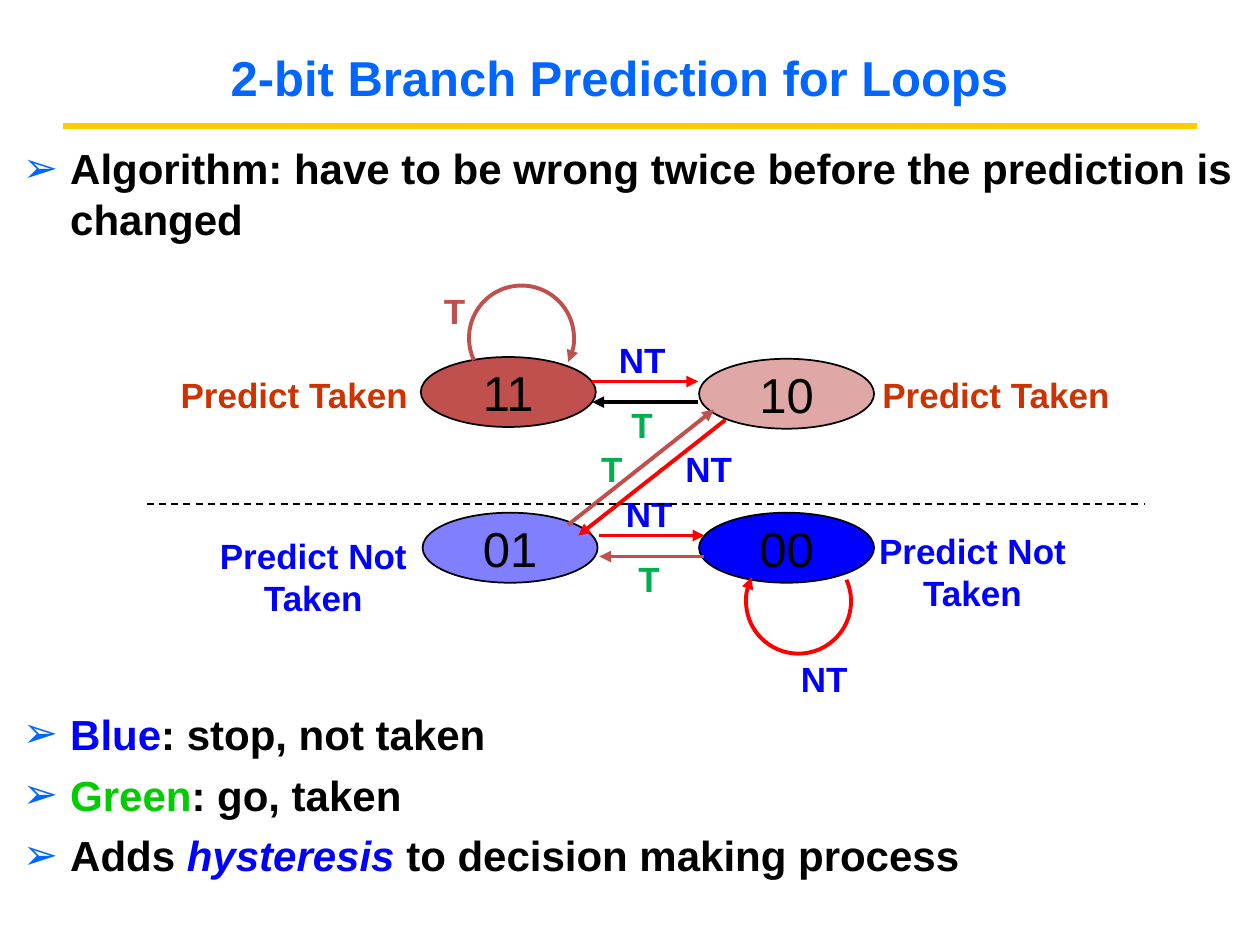
from lxml.etree import SubElement
from pptx import Presentation
from pptx.dml.color import RGBColor
from pptx.enum.dml import MSO_LINE
from pptx.enum.shapes import MSO_CONNECTOR as Conn, MSO_SHAPE as Kind
from pptx.enum.text import MSO_ANCHOR as Anchor, PP_ALIGN as Align
from pptx.oxml.ns import qn
from pptx.util import Pt

BLACK, BLUE, RED, BRICK = "000000", "0000FF", "FF0000", "C0504D"
GREEN, RUST, SKY, GOLD = "00B050", "CC3300", "0066FF", "FFCC00"

TITLE = "2-bit Branch Prediction for Loops"
# Each bullet: space before, then runs of (text, colour, italic)
BULLETS = [
    (0, [("Algorithm: have to be wrong twice before the prediction is changed", BLACK, False)]),
    (265.5, [("Blue", BLUE, False), (": stop, not taken", BLACK, False)]),
    (6, [("Green", "00CC00", False), (": go, taken", BLACK, False)]),
    (6, [("Adds ", BLACK, False), ("hysteresis", BLUE, True),
         (" to decision making process", BLACK, False)]),
]
# State: name, left, top, fill, opacity in percent
STATES = [
    ("11", 240.5, 204, BRICK, 100), ("10", 399.5, 205, BRICK, 50),
    ("01", 241.5, 293, BLUE, 50), ("00", 399.5, 293, BLUE, 100),
]
# Arrow: start, end, colour
ARROWS = [
    ((338.5, 218), (399, 218), RED), ((399, 229.8), (338.5, 229.8), BLACK),
    ((342.5, 306), (402.5, 306), RED), ((402.5, 318), (342.5, 318), BRICK),
    ((324.5, 300), (408, 234), BRICK), ((414.5, 240), (330.5, 306), RED),
]
# Loop: left, top, start and end angle, colour
LOOPS = [(268, 163.2, 155, 27, BRICK), (426.3, 313.5, 336, 207, RED)]
# Label: text, left, top, colour
TAKEN, NOT = "Predict Taken", "Predict Not\nTaken"
LABELS = [
    ("T", 246.5, 162, BRICK), ("NT", 346.5, 190, BLUE), ("T", 353.7, 227, GREEN),
    ("T", 336.3, 252.3, GREEN), ("NT", 384.5, 252.3, BLUE),
    ("NT", 350.5, 278, BLUE), ("T", 357.7, 315, GREEN), ("NT", 450.5, 372, BLUE),
    (TAKEN, 95.4, 210, RUST), (TAKEN, 496.4, 210, RUST),
    (NOT, 115.8, 302, BLUE), (NOT, 492.5, 299, BLUE),
]
SIZES = {"T": (26.5, 31), "NT": (41, 31), TAKEN: (145.5, 31), NOT: (126.5, 55)}


def color(code):
    return RGBColor.from_string(code)


def style(font, size, code, bold=True, italic=False):
    font.name, font.size, font.bold, font.italic = "Arial", Pt(size), bold, italic
    font.color.rgb = color(code)


def write(text, shape, size, code, bold=True, align=Align.CENTER,
          anchor=Anchor.MIDDLE, wrap=False):
    frame = shape.text_frame
    frame.word_wrap, frame.vertical_anchor = wrap, anchor
    frame.text = text
    for para in frame.paragraphs:
        para.alignment = align
        style(para.font, size, code, bold)


def add_box(*rect):
    return slide.shapes.add_textbox(*map(Pt, rect))


def add_line(start, end, code, width=2.25, arrow=False):
    line = slide.shapes.add_connector(Conn.STRAIGHT, *map(Pt, start + end))
    line.line.color.rgb, line.line.width = color(code), Pt(width)
    SubElement(line._element.spPr, qn("a:effectLst"))
    if arrow:
        add_head(line)
    return line


def add_head(shape):
    SubElement(shape.line._get_or_add_ln(), qn("a:tailEnd"), type="triangle")


def add_mark(para):
    props = para._p.get_or_add_pPr()
    props.set("marL", str(Pt(27)))
    props.set("indent", str(-Pt(27)))
    tint = SubElement(props, qn("a:buClr"))
    SubElement(tint, qn("a:srgbClr"), val=SKY)
    SubElement(props, qn("a:buFont"), typeface="Arial")
    SubElement(props, qn("a:buChar"), char="➢")


prs = Presentation()
prs.slide_width, prs.slide_height = Pt(720), Pt(540)
slide = prs.slides.add_slide(prs.slide_layouts[6])

# Title and rule
add_line((36, 72), (684, 72), GOLD, 3)
write(TITLE, add_box(12, 21.6, 684, 44.6), 28, SKY, wrap=True)

# Bullets
body = add_box(6, 78, 708, 458).text_frame
body.word_wrap = True
for i, (gap, runs) in enumerate(BULLETS):
    para = body.add_paragraph() if i else body.paragraphs[0]
    para.space_before = Pt(gap)
    add_mark(para)
    for words, code, slant in runs:
        run = para.add_run()
        run.text = words
        style(run.font, 24, code, italic=slant)

# States
for name, left, top, code, alpha in STATES:
    oval = slide.shapes.add_shape(Kind.OVAL, Pt(left), Pt(top), Pt(100), Pt(40))
    oval.shadow.inherit = False
    oval.fill.solid()
    oval.fill.fore_color.rgb = color(code)
    if alpha < 100:
        tint = oval._element.spPr.find(".//" + qn("a:srgbClr"))
        SubElement(tint, qn("a:alpha"), val=str(alpha * 1000))
    oval.line.color.rgb, oval.line.width = color(BLACK), Pt(1)
    write(name, oval, 28, BLACK, bold=False)

# Loops back to the same state; an arc's adjustment is 0.6 per degree
for left, top, start, end, code in LOOPS:
    arc = slide.shapes.add_shape(Kind.ARC, Pt(left), Pt(top), Pt(60), Pt(60))
    arc.shadow.inherit = False
    arc.adjustments[0], arc.adjustments[1] = start * 0.6, end * 0.6
    arc.fill.background()
    arc.line.color.rgb, arc.line.width = color(code), Pt(2.25)
    add_head(arc)

# Moves between states
for start, end, code in ARROWS:
    add_line(start, end, code, arrow=True)

# Labels
for words, left, top, code in LABELS:
    write(words, add_box(left, top, *SIZES[words]), 20, code, anchor=Anchor.TOP)

# Border between the two predictions
add_line((84, 288), (654, 288), BLACK, 1).line.dash_style = MSO_LINE.DASH

prs.save("out.pptx")
